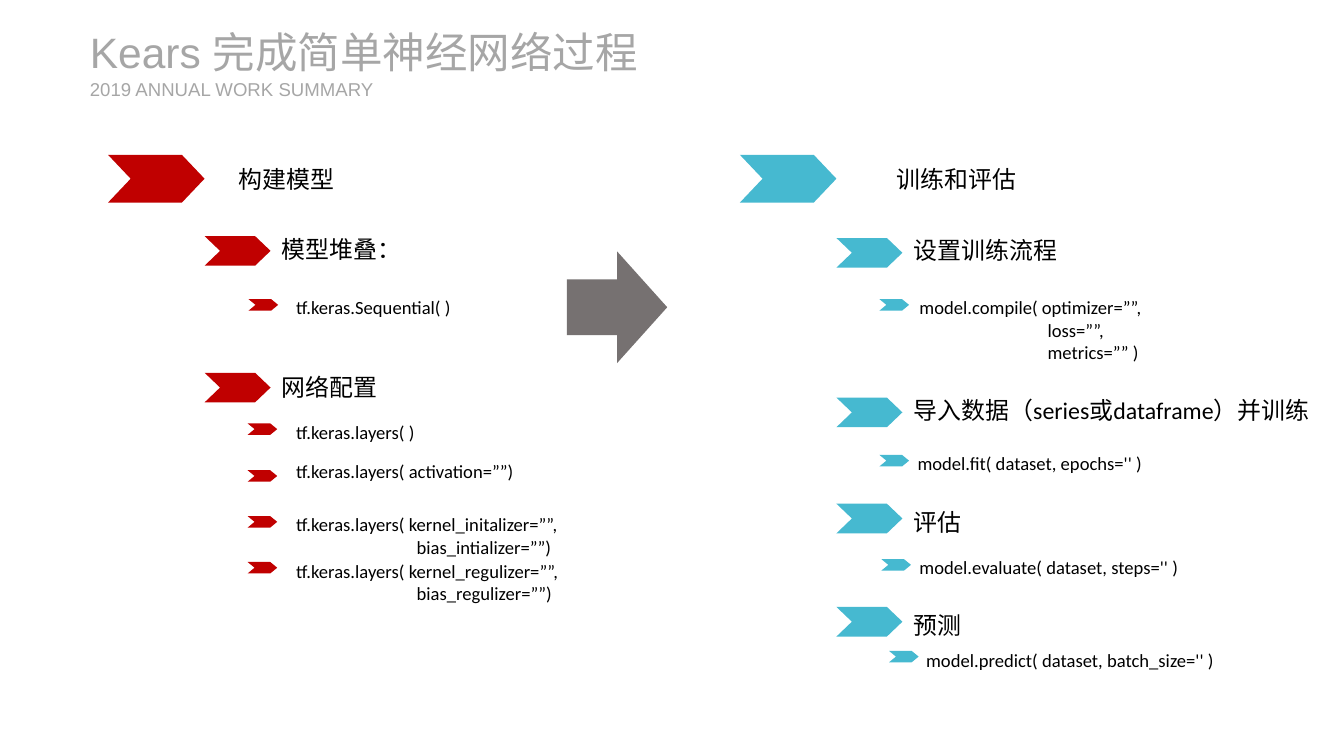
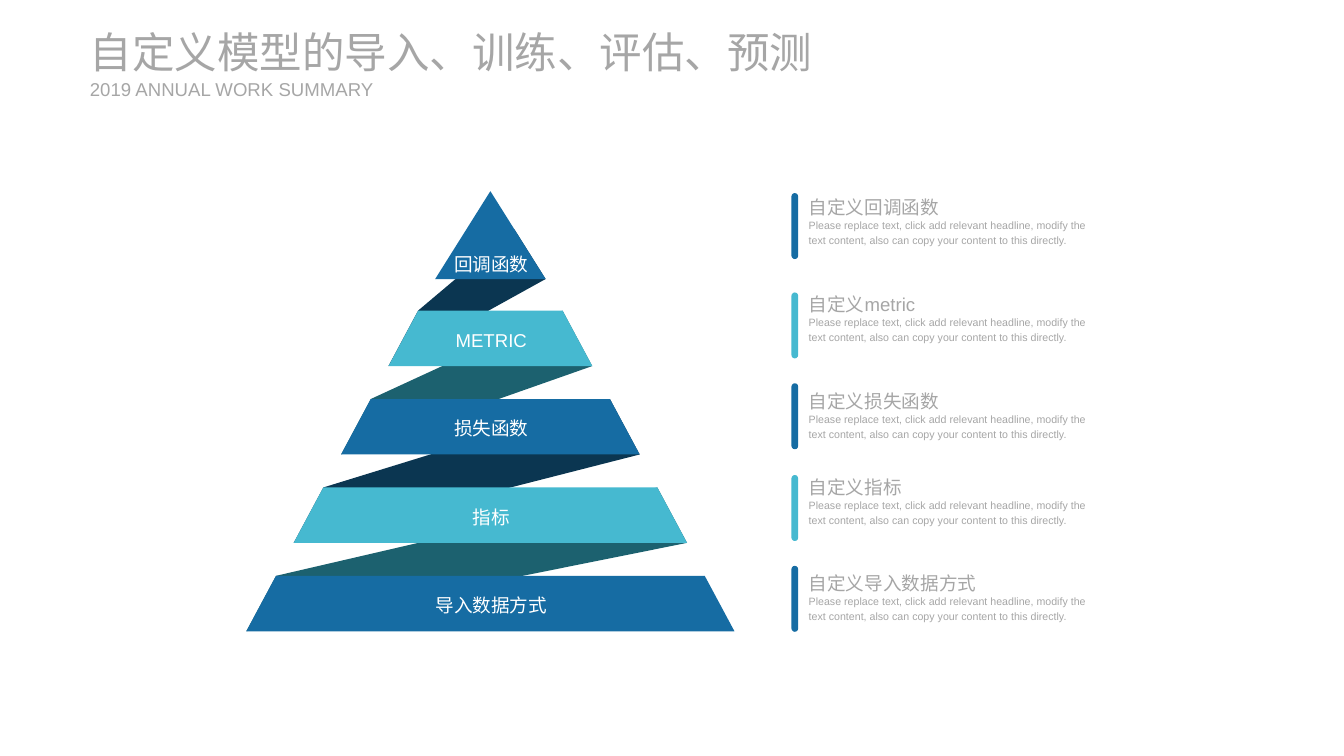
from pptx import Presentation
from pptx.dml.color import RGBColor
from pptx.enum.shapes import MSO_SHAPE
from pptx.enum.text import MSO_ANCHOR, MSO_AUTO_SIZE, PP_ALIGN
from pptx.util import Inches, Pt

COLORS = {
    "gray": "A6A6A6",
    "black": "000000",
    "white": "FFFFFF",
    "red": "C00000",
    "cyan": "46B9D0",
    "blue": "166CA3",
    "arrow": "767171",
    "dark_blue": "0B3651",
    "dark_cyan": "1C616F",
}
SUBTITLE = "2019 ANNUAL WORK SUMMARY"
PLACEHOLDER_COPY = (
    "Please replace text, click add relevant headline, modify the text content, "
    "also can copy your content to this directly."
)


def write_text(frame, text, *, size, color="gray", font="Arial", align=PP_ALIGN.LEFT,
               anchor=MSO_ANCHOR.TOP, inset=(0, 0), spacing=1.0, first_indent=0, hanging=0):
    frame.word_wrap = True
    frame.auto_size = MSO_AUTO_SIZE.NONE
    frame.vertical_anchor = anchor
    frame.margin_left = frame.margin_right = Inches(inset[0])
    frame.margin_top = frame.margin_bottom = Inches(inset[1])
    for index, line in enumerate(text.split("\n")):
        para = frame.paragraphs[0] if index == 0 else frame.add_paragraph()
        para.alignment = align
        para.line_spacing = spacing
        para.space_before = Pt(0)
        properties = para._p.get_or_add_pPr()
        properties.set("marL", str(Inches(hanging if index else 0)))
        properties.set("indent", str(Inches(0 if index else first_indent)))
        span = para.add_run()
        span.text = line
        span.font.size = Pt(size)
        span.font.name = font
        span.font.color.rgb = RGBColor.from_string(COLORS[color])


class SlideBuilder:
    def __init__(self, deck):
        self.deck = deck
        self.page = None

    def start_page(self, title):
        self.page = self.deck.slides.add_slide(self.deck.slide_layouts[5])
        heading = self.page.shapes.title
        heading.left, heading.top = Inches(0.94), Inches(0.27)
        heading.width, heading.height = Inches(7.8), Inches(0.54)
        write_text(heading.text_frame, title, size=32, anchor=MSO_ANCHOR.MIDDLE)
        self.text(0.94, 0.81, 3.07, 0.24, SUBTITLE, size=14, anchor=MSO_ANCHOR.MIDDLE)

    def text(self, left, top, width, height, text, **style):
        box = self.page.shapes.add_textbox(
            Inches(left), Inches(top), Inches(width), Inches(height))
        write_text(box.text_frame, text, **style)

    def body_text(self, left, top, width, text, size, **style):
        self.text(left, top, width, 0.4, text, size=size, color="black",
                  font="Calibri", inset=(0.1, 0.05), **style)

    def paint(self, shape, color):
        shape.shadow.inherit = False
        shape.fill.solid()
        shape.fill.fore_color.rgb = RGBColor.from_string(COLORS[color])
        shape.line.fill.background()

    def shape(self, kind, left, top, width, height, color, adjustments=()):
        shape = self.page.shapes.add_shape(
            kind, Inches(left), Inches(top), Inches(width), Inches(height))
        for index, value in enumerate(adjustments):
            shape.adjustments[index] = value
        self.paint(shape, color)

    def chevron(self, left, top, width, height, color):
        self.shape(MSO_SHAPE.CHEVRON, left, top, width, height, color,
                   [0.235 * width / height])

    def polygon(self, points, color):
        corners = [(Inches(x), Inches(y)) for x, y in points]
        builder = self.page.shapes.build_freeform(*corners[0])
        builder.add_line_segments(corners[1:], close=True)
        self.paint(builder.convert_to_shape(), color)

    def column(self, left, color, section, topics, calls, call_left, hanging):
        label_left, label, label_indent = section
        self.chevron(left, 1.62, 1.01, 0.5, color)
        self.body_text(label_left, 1.67, 2.59, label, 18, first_indent=label_indent)
        for marker_top, text_top, topic in topics:
            self.chevron(left + 1.01, marker_top, 0.69, 0.31, color)
            self.body_text(left + 1.66, text_top, 4.58, topic, 18, first_indent=0.06)
        for marker_shift, marker_top, text_left, text_top, call in calls:
            self.chevron(call_left + marker_shift, marker_top, 0.31, 0.12, color)
            self.body_text(text_left, text_top, 4.39, call, 14, hanging=hanging)


def build_process(slides):
    slides.start_page("Kears 完成简单神经网络过程")
    slides.column(
        1.13, "red", (2.34, "构建模型", 0.06),
        [(2.47, 2.41, "模型堆叠："), (3.9, 3.85, "网络配置")],
        [
            (0.01, 3.13, 3, 3.05, "tf.keras.Sequential( )"),
            (0, 4.43, 3, 4.35, "tf.keras.layers( )"),
            (0, 4.92, 3, 4.76, "tf.keras.layers( activation=””)"),
            (0, 5.4, 3, 5.32,
             "tf.keras.layers( kernel_initalizer=””,\nbias_intializer=””)"),
            (0, 5.88, 3, 5.81,
             "tf.keras.layers( kernel_regulizer=””,\nbias_regulizer=””)"),
        ],
        call_left=2.59, hanging=1.26)
    slides.column(
        7.74, "cyan", (9.28, "训练和评估", 0),
        [
            (2.49, 2.42, "设置训练流程"),
            (4.16, 4.09, "导入数据（series或dataframe）并训练"),
            (5.27, 5.26, "评估"),
            (6.35, 6.34, "预测"),
        ],
        [
            (0, 3.13, 9.52, 3.05,
             "model.compile( optimizer=””,\nloss=””,\nmetrics=”” )"),
            (0, 4.76, 9.5, 4.68, "model.fit( dataset, epochs='' )"),
            (0.02, 5.85, 9.52, 5.77, "model.evaluate( dataset, steps='' )"),
            (0.1, 6.81, 9.59, 6.74, "model.predict( dataset, batch_size='' )"),
        ],
        call_left=9.2, hanging=1.34)
    slides.shape(MSO_SHAPE.RIGHT_ARROW, 5.93, 2.63, 1.05, 1.17, "arrow")


def build_pyramid(slides):
    slides.start_page("自定义模型的导入、训练、评估、预测")
    center, peak = 5.13, 2.0
    labels = ["回调函数", "METRIC", "损失函数", "指标", "导入数据方式"]
    band_colors = ["blue", "cyan", "blue", "cyan", "blue"]
    bands = [(peak, 2.92)]
    bands += [(3.25 + 0.925 * step, 3.83 + 0.925 * step) for step in range(4)]

    def edge(side, y):
        half_width = min(0.63 * (y - peak), 0.755 + 0.536 * (y - 3.25))
        return center + side * half_width, y

    for index, (upper, lower) in enumerate(zip(bands, bands[1:])):
        fold_top = max(upper[0], 2.4)
        slides.polygon(
            [edge(1, fold_top), edge(-1, lower[0]), edge(-1, lower[1]), edge(1, upper[1])],
            "dark_cyan" if index % 2 else "dark_blue")

    for (top, bottom), label, color in zip(bands, labels, band_colors):
        corners = [edge(-1, top), edge(-1, bottom), edge(1, bottom), edge(1, top)]
        slides.polygon(corners[:3] if top == peak else corners, color)
        label_top = max(top + 0.05, 2.51)
        slides.text(center - 0.99, label_top, 2, 0.47, label, size=14, color="white",
                    align=PP_ALIGN.CENTER, anchor=MSO_ANCHOR.MIDDLE, spacing=1.2)

    notes = [
        (2.02, 2, "自定义回调函数"),
        (3.06, 3.02, "自定义metric"),
        (4.01, 4.03, "自定义损失函数"),
        (4.97, 4.93, "自定义指标"),
        (5.92, 5.94, "自定义导入数据方式"),
    ]
    for (bar_top, text_top, heading), color in zip(notes, band_colors):
        slides.shape(MSO_SHAPE.ROUND_2_SAME_RECTANGLE, 8.28, bar_top, 0.07, 0.69, color,
                     [0.5, 0.5])
        slides.text(8.46, text_top, 2.95, 0.28, heading, size=14, spacing=1.2)
        slides.text(8.46, text_top + 0.26, 2.95, 0.31, PLACEHOLDER_COPY, size=8, spacing=1.2)


def main():
    deck = Presentation()
    deck.slide_width, deck.slide_height = Inches(14.06), Inches(7.91)
    slides = SlideBuilder(deck)
    build_process(slides)
    build_pyramid(slides)
    deck.save("out.pptx")


if __name__ == "__main__":
    main()
